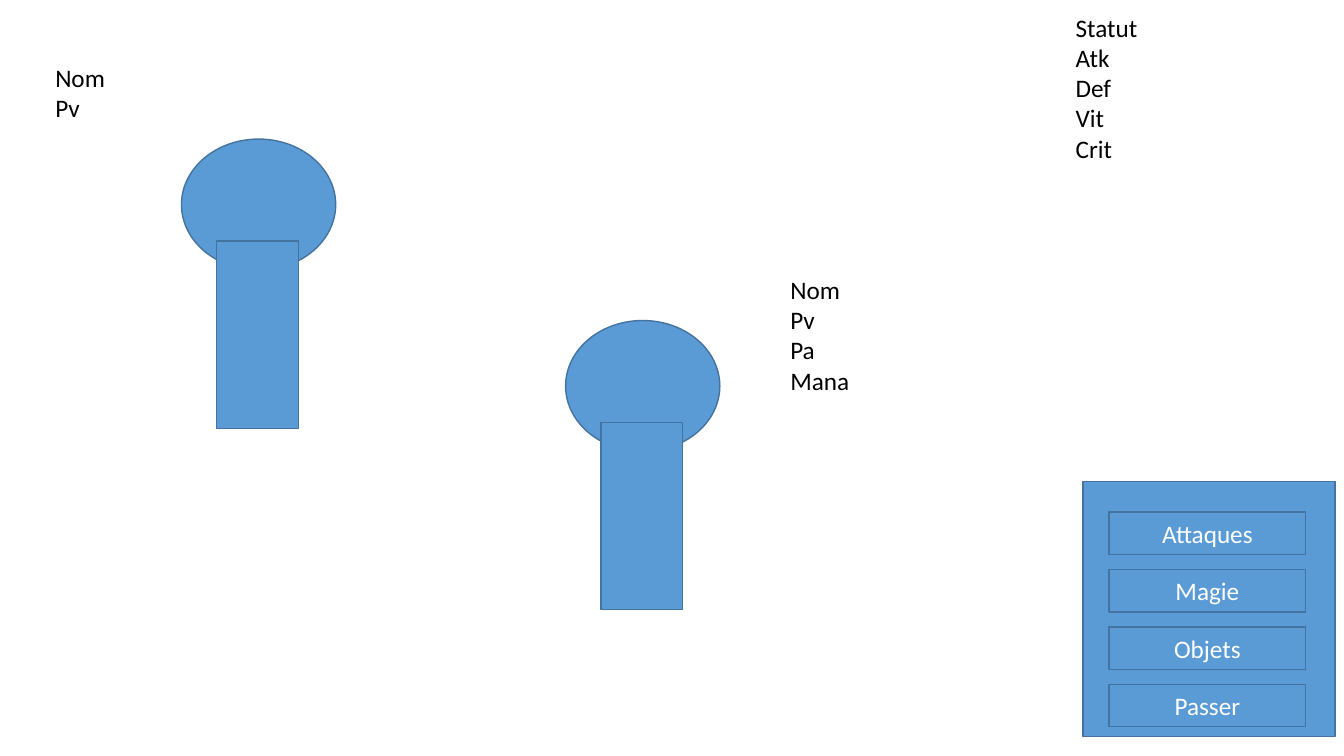
from pptx import Presentation
from pptx.dml.color import RGBColor
from pptx.enum.shapes import MSO_SHAPE as Shape
from pptx.enum.text import MSO_ANCHOR as Anchor, MSO_AUTO_SIZE as AutoSize, PP_ALIGN as Align
from pptx.util import Inches, Pt

COLORS = {"fill": "5B9BD5", "line": "43739E", "label": "000000", "button": "FFFFFF"}
FONT, SIZE = "Calibri", 18

# Content: fighters (left, top), stat lists (left, top, width, height, wrap, lines), menu
FIGHTERS = [(1.8, 1.38), (5.61, 3.18)]
STATS = [
    (0.45, 0.57, 0.7, 0.71, False, ["Nom", "Pv"]),
    (7.74, 2.67, 2.83, 1.31, True, ["Nom", "Pv", "Pa", "Mana"]),
    (10.57, 0.07, 2.55, 1.62, True, ["Statut", "Atk", "Def", "Vit", "Crit"]),
]
MENU = (10.74, 4.78, 2.5, 2.53)
ACTIONS = ["Attaques", "Magie", "Objets", "Passer"]

# Fighter parts relative to the fighter's corner, and the menu's button grid
HEAD_W, HEAD_H = 1.53, 1.3
BODY_DX, BODY_DY, BODY_W, BODY_H = 0.35, 1.01, 0.81, 1.86
BUTTON_X, BUTTON_Y, BUTTON_W, BUTTON_H, BUTTON_STEP = 11, 5.08, 1.95, 0.42, 0.57

prs = Presentation()
prs.slide_width, prs.slide_height = Inches(13.33), Inches(7.5)
s = prs.slides.add_slide(prs.slide_layouts[6])


def rgb(name):
    return RGBColor.from_string(COLORS[name])


def write(tf, lines, color, align):
    for i, line in enumerate(lines):
        p = tf.add_paragraph() if i else tf.paragraphs[0]
        p.text, p.alignment = line, align
        p.font.name, p.font.size = FONT, Pt(SIZE)
        p.font.color.rgb = rgb(color)


def add_block(kind, *box):
    sp = s.shapes.add_shape(kind, *map(Inches, box))
    sp.shadow.inherit = False
    sp.fill.solid()
    sp.fill.fore_color.rgb = rgb("fill")
    sp.line.color.rgb = rgb("line")
    sp.line.width = Pt(1)
    return sp


# Fighters: a head with the body in front
for x, y in FIGHTERS:
    add_block(Shape.OVAL, x, y, HEAD_W, HEAD_H)
    add_block(Shape.RECTANGLE, x + BODY_DX, y + BODY_DY, BODY_W, BODY_H)

# Stat lists
for *box, wrap, lines in STATS:
    tf = s.shapes.add_textbox(*map(Inches, box)).text_frame
    tf.word_wrap = wrap
    tf.auto_size = AutoSize.SHAPE_TO_FIT_TEXT
    write(tf, lines, "label", Align.LEFT)

# Action menu
add_block(Shape.RECTANGLE, *MENU)
for i, action in enumerate(ACTIONS):
    sp = add_block(Shape.RECTANGLE, BUTTON_X, BUTTON_Y + i * BUTTON_STEP, BUTTON_W, BUTTON_H)
    sp.text_frame.vertical_anchor = Anchor.MIDDLE
    write(sp.text_frame, [action], "button", Align.CENTER)

prs.save("out.pptx")
